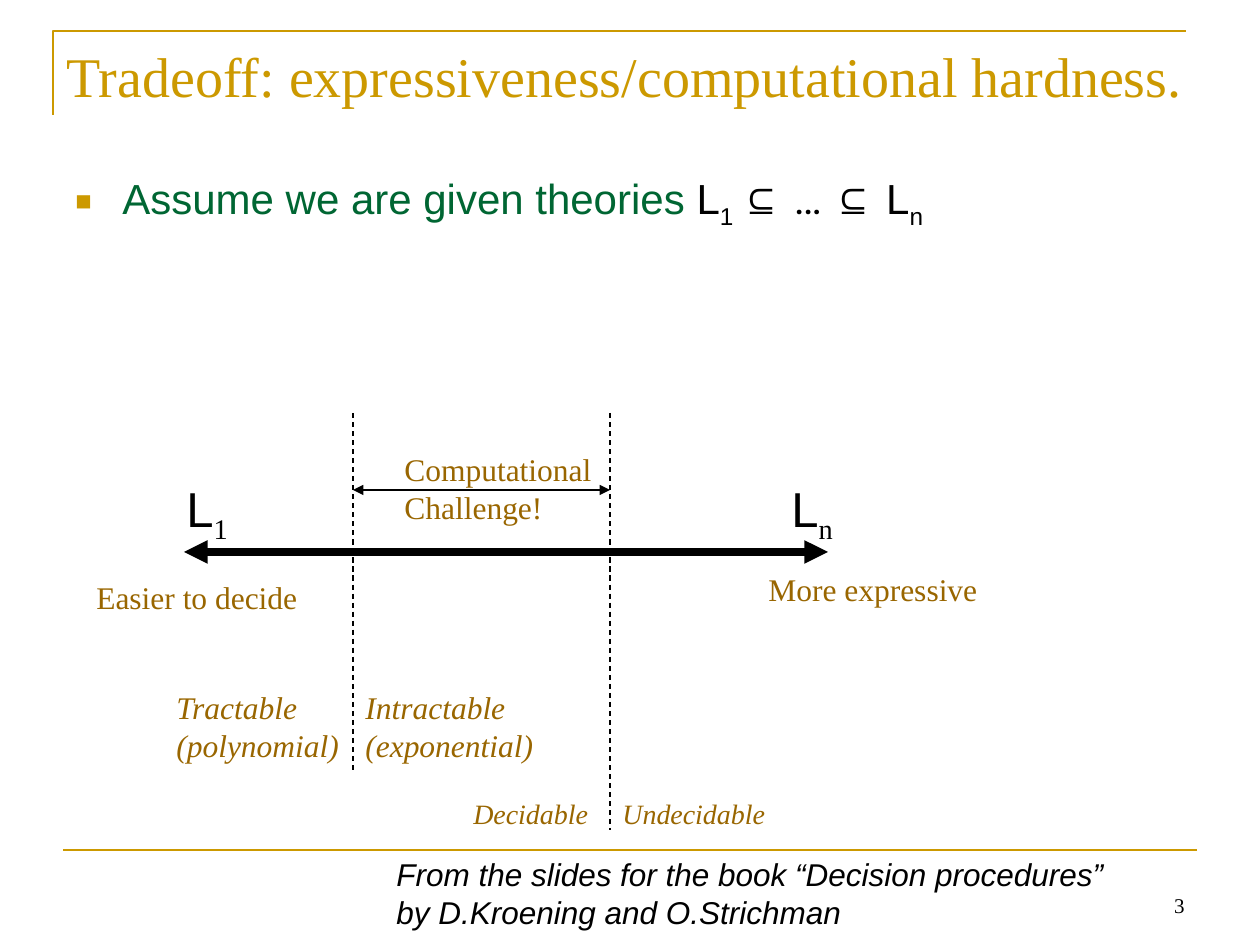
"""Build the slide on the tradeoff between expressiveness and hardness."""
from typing import NamedTuple

from lxml import etree
from pptx import Presentation
from pptx.dml.color import RGBColor
from pptx.enum.dml import MSO_LINE
from pptx.enum.shapes import MSO_CONNECTOR
from pptx.enum.text import MSO_ANCHOR, MSO_AUTO_SIZE, PP_ALIGN
from pptx.oxml.ns import qn
from pptx.util import Pt

SCALE = 914400 / 126
GOLD = RGBColor(0xCC, 0x99, 0x00)
BROWN = RGBColor(0x99, 0x66, 0x00)
GREEN = RGBColor(0x00, 0x66, 0x33)
BLACK = RGBColor(0x00, 0x00, 0x00)
SERIF = "Times New Roman"
SANS = "Arial"
STRAIGHT = MSO_CONNECTOR.STRAIGHT
DASH = MSO_LINE.DASH
TOP, BOTTOM = MSO_ANCHOR.TOP, MSO_ANCHOR.BOTTOM
FIXED, GROW = MSO_AUTO_SIZE.NONE, MSO_AUTO_SIZE.SHAPE_TO_FIT_TEXT
RIGHT = PP_ALIGN.RIGHT
SUB = "-25000"
EASY, HARD = 353, 610


class Box(NamedTuple):
    x: int
    y: int
    w: int
    h: int


class Label(NamedTuple):
    box: Box
    text: str
    size: int = 18
    slant: bool = False
    font: str = SERIF
    color: RGBColor = BROWN
    wrap: bool = False


class Line(NamedTuple):
    x1: int
    y1: int
    x2: int
    y2: int
    width: float = 0.75
    color: RGBColor = BLACK
    dash: bool = False
    heads: bool = False


class Part(NamedTuple):
    text: str
    font: str = SANS
    color: RGBColor = BLACK
    sub: bool = False


LINES = [
    Line(63, 850, 1197, 850, 1.5, GOLD),
    Line(184, 552, 828, 552, 4.5, heads=True),
    Line(HARD, 413, HARD, 830, dash=True),
    Line(EASY, 413, EASY, 770, dash=True),
    Line(EASY, 490, HARD, 490, heads=True),
]
LABELS = [
    Label(Box(756, 564, 234, 50), "More expressive"),
    Label(Box(84, 572, 227, 50), "Easier to decide"),
    Label(Box(HARD, 790, 169, 47), "Undecidable", 16, True),
    Label(Box(461, 790, 141, 47), "Decidable", 16, True),
    Label(Box(EASY, 682, 193, 88), "Intractable\n(exponential)", slant=True),
    Label(Box(164, 682, 188, 88), "Tractable\n(polynomial)", slant=True),
    Label(Box(392, 444, 220, 88), "Computational\nChallenge!"),
    Label(
        Box(384, 849, 930, 89),
        "From the slides for the book “Decision procedures”\n"
        "by D.Kroening and O.Strichman",
        18, True, SANS, BLACK, True,
    ),
]
ENDS = [(779, "n"), (174, "1")]
CLAIM = [
    Part("Assume we are given theories ", color=GREEN),
    Part("L"),
    Part("1 ", sub=True),
    Part("⊆ "),
    Part("… ", "Roboto"),
    Part("⊆ L"),
    Part("n", sub=True),
]


def emu(px: int) -> int:
    return round(px * SCALE)


def place(shape, box: Box) -> None:
    shape.left, shape.top, shape.width, shape.height = map(emu, box)


def style(run, size: int, font: str, color: RGBColor, slant: bool = False) -> None:
    run.font.size = Pt(size)
    run.font.name = font
    run.font.color.rgb = color
    run.font.italic = slant


def add_box(slide, box: Box, wrap: bool = True, fit=GROW):
    shape = slide.shapes.add_textbox(*map(emu, box))
    frame = shape.text_frame
    frame.word_wrap = wrap
    frame.auto_size = fit
    return frame


def add_label(slide, label: Label):
    frame = add_box(slide, label.box, label.wrap)
    frame.text = label.text
    for para in frame.paragraphs:
        for run in para.runs:
            style(run, label.size, label.font, label.color, label.slant)
    return frame


def add_parts(para, parts: list[Part], size: int, gap: int) -> None:
    space = etree.SubElement(para._p.get_or_add_pPr(), qn("a:spcBef"))
    etree.SubElement(space, qn("a:spcPct"), val=str(gap * 1000))
    for part in parts:
        run = para.add_run()
        run.text = part.text
        style(run, size, part.font, part.color)
        if part.sub:
            run._r.get_or_add_rPr().set("baseline", SUB)


def add_line(slide, line: Line) -> None:
    shape = slide.shapes.add_connector(STRAIGHT, *map(emu, line[:4]))
    shape.line.width = Pt(line.width)
    shape.line.color.rgb = line.color
    if line.dash:
        shape.line.dash_style = DASH
    if line.heads:
        for end in ("a:headEnd", "a:tailEnd"):
            etree.SubElement(shape.line._get_or_add_ln(), qn(end), type="triangle")
    etree.SubElement(shape._element.spPr, qn("a:effectLst"))


def add_frame(slide) -> None:
    pen = slide.shapes.build_freeform(53, 115, scale=SCALE)
    pen.add_line_segments([(53, 31), (1186, 31)], close=False)
    shape = pen.convert_to_shape()
    shape.fill.background()
    shape.line.color.rgb = GOLD
    shape.line.width = Pt(1.5)
    shape.shadow.inherit = False


def add_title(slide) -> None:
    title = slide.shapes.title
    place(title, Box(54, 35, 1181, 132))
    frame = title.text_frame
    frame.text = "Tradeoff: expressiveness/computational hardness."
    frame.vertical_anchor = TOP
    frame.auto_size = FIXED
    para = frame.paragraphs[0]
    para.alignment = PP_ALIGN.LEFT
    style(para.runs[0], 32, SERIF, GOLD)


def add_claim(slide) -> None:
    para = add_box(slide, Box(63, 155, 1134, 689), fit=FIXED).paragraphs[0]
    para.line_spacing = 1.2
    add_parts(para, CLAIM, 24, 20)
    props = para._p.get_or_add_pPr()
    props.set("marL", str(emu(47)))
    props.set("indent", str(-emu(47)))
    tint = etree.SubElement(props, qn("a:buClr"))
    etree.SubElement(tint, qn("a:srgbClr"), val=str(GOLD))
    etree.SubElement(props, qn("a:buSzPct"), val="65000")
    etree.SubElement(props, qn("a:buFont"), typeface=SANS)
    etree.SubElement(props, qn("a:buChar"), char="■")


def main() -> None:
    deck = Presentation()
    deck.slide_width, deck.slide_height = emu(1260), emu(945)
    slide = deck.slides.add_slide(deck.slide_layouts[5])
    add_frame(slide)
    add_title(slide)
    add_claim(slide)
    for line in LINES:
        add_line(slide, line)
    for label in LABELS:
        add_label(slide, label)
    for left, sub in ENDS:
        para = add_box(slide, Box(left, 472, 87, 72)).paragraphs[0]
        add_parts(para, [Part("L"), Part(sub, SERIF, sub=True)], 28, 50)
    page = add_label(slide, Label(Box(903, 861, 294, 63), "3", 12, color=BLACK, wrap=True))
    page.auto_size = FIXED
    page.vertical_anchor = BOTTOM
    page.paragraphs[0].alignment = RIGHT
    deck.save("out.pptx")


if __name__ == "__main__":
    main()
